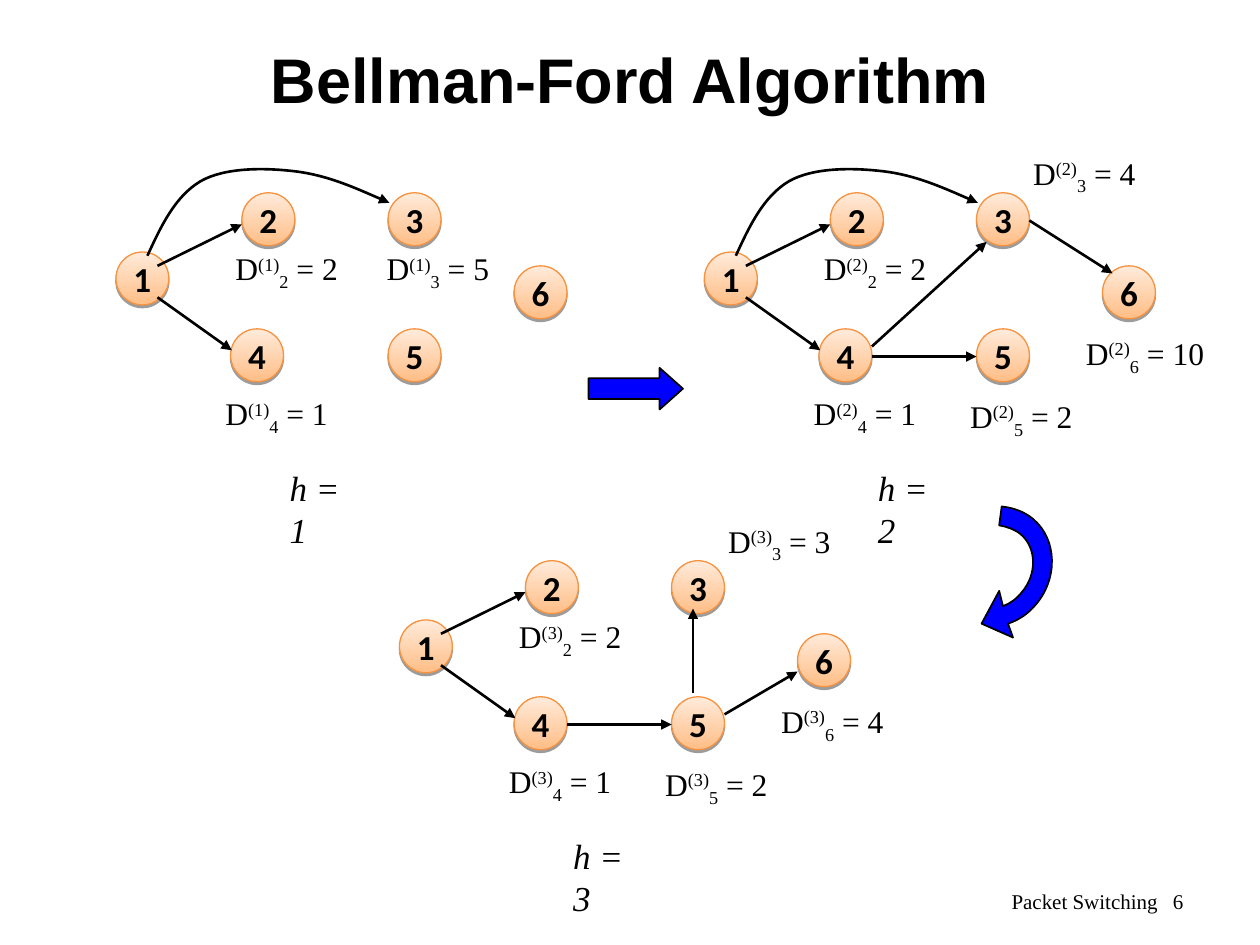
"""Builds a slide showing three steps of the Bellman-Ford algorithm."""
import pptx
import pptx.dml.color
import pptx.enum.dml
import pptx.enum.shapes
import pptx.enum.text
import pptx.oxml
import pptx.oxml.ns
import pptx.util

Inches, Pt = pptx.util.Inches, pptx.util.Pt
qn = pptx.oxml.ns.qn
SHAPE = pptx.enum.shapes.MSO_SHAPE
ALIGN = pptx.enum.text.PP_ALIGN
ANCHOR = pptx.enum.text.MSO_ANCHOR

COLORS = {"ink": "000000", "arrow": "0000FF", "node_line": "F69240",
          "node_low": "FFBE86", "node_high": "FFEBDB"}
SERIF = "Times New Roman"
TITLE = "Bellman-Ford Algorithm"
FOOTER = "Packet Switching\t6"
NODE_SIZE = 0.42

NODES = {1: (0.92, 2), 2: (1.92, 1.53), 3: (3.08, 1.53),
         4: (1.83, 2.61), 5: (3.08, 2.61), 6: (4.08, 2.11)}
EDGES = {"1-2": (1.25, 2.11, 1.92, 1.78), "1-4": (1.25, 2.36, 1.84, 2.78),
         "4-3": (2.25, 2.75, 3.16, 1.92), "4-5": (2.25, 2.83, 3.08, 2.83),
         "3-6": (3.5, 1.75, 4.16, 2.17), "5-3": (3.25, 2.58, 3.25, 1.91),
         "5-6": (3.5, 2.75, 4.08, 2.41)}
DETOUR = [("M", (1.17, 2.03)),
          ("C", (1.28, 1.79), (1.39, 1.56), (1.59, 1.44)),
          ("C", (1.78, 1.33), (2.09, 1.33), (2.34, 1.36)),
          ("C", (2.59, 1.39), (2.84, 1.5), (3.09, 1.61))]
LABELS = {2: (1.77, 1.93), 3: (3.43, 1.17), 4: (1.69, 3.08),
          5: (2.93, 3.1), 6: (3.85, 2.6)}
LOW_LABEL_3 = (2.97, 1.93)
STEP_AT = (2.2, 3.65)

STEPS = [
    {"origin": (0, 0), "detour": True, "edges": ["1-2", "1-4"],
     "distances": {2: 2, 3: 5, 4: 1}},
    {"origin": (4.67, 0), "detour": True,
     "edges": ["1-2", "1-4", "4-3", "4-5", "3-6"],
     "distances": {2: 2, 3: 4, 4: 1, 6: 10, 5: 2}},
    {"origin": (2.25, 2.92), "detour": False,
     "edges": ["1-2", "1-4", "5-3", "4-5", "5-6"],
     "distances": {2: 2, 3: 3, 4: 1, 6: 4, 5: 2}},
]
TURN = [("M", (7.96, 4.81)),
        ("C", (8.02, 4.79), (8.07, 4.75), (8.11, 4.7)),
        ("C", (8.23, 4.56), (8.23, 4.35), (8.1, 4.24)),
        ("C", (8.05, 4.2), (7.99, 4.18), (7.93, 4.17)),
        ("L", (7.95, 4.02)),
        ("C", (8.04, 4.03), (8.13, 4.06), (8.2, 4.12)),
        ("C", (8.39, 4.28), (8.4, 4.59), (8.22, 4.8)),
        ("C", (8.16, 4.87), (8.09, 4.92), (8, 4.95)),
        ("L", (8.04, 5.06)), ("L", (7.79, 4.95)), ("L", (7.93, 4.69))]


def rgb(name):
    return pptx.dml.color.RGBColor.from_string(COLORS[name])


def set_line(shape, color, width):
    shape.line.color.rgb = rgb(color)
    shape.line.width = Pt(width)


def add_run(paragraph, text, size, font, bold=False, italic=False, baseline=0):
    run = paragraph.add_run()
    run.text = text
    run.font.size, run.font.name = Pt(size), font
    run.font.bold, run.font.italic = bold, italic
    run.font.color.rgb = rgb("ink")
    if baseline:
        run.font._element.set("baseline", str(baseline * 1000))


def add_text(slide, box, runs, wrap=False, anchor=ANCHOR.TOP, align=ALIGN.LEFT):
    frame = slide.shapes.add_textbox(*map(Inches, box)).text_frame
    frame.word_wrap, frame.vertical_anchor = wrap, anchor
    if not wrap:
        frame.auto_size = pptx.enum.text.MSO_AUTO_SIZE.SHAPE_TO_FIT_TEXT
    paragraph = frame.paragraphs[0]
    paragraph.alignment = align
    for run in runs:
        add_run(paragraph, **run)
    return paragraph


def add_arrowhead(shape):
    pptx.oxml.ns  
    tail = shape.line._get_or_add_ln().makeelement(qn("a:tailEnd"), {"type": "triangle"})
    shape.line._get_or_add_ln().append(tail)


def add_node(slide, number, left, top):
    node = slide.shapes.add_shape(
        SHAPE.OVAL, *map(Inches, (left, top, NODE_SIZE, NODE_SIZE)))
    node.fill.gradient()
    node.fill.gradient_angle = 90
    for stop, color in zip(node.fill.gradient_stops, ("node_low", "node_high")):
        stop.color.rgb = rgb(color)
    set_line(node, "node_line", 0.75)
    node.shadow.inherit = False
    node._element.spPr.find(qn("a:effectLst")).append(pptx.oxml.parse_xml(
        f'<a:outerShdw {pptx.oxml.ns.nsdecls("a")} dist="{Pt(1.6)}" dir="5400000" '
        'rotWithShape="0"><a:srgbClr val="000000"><a:alpha val="38000"/>'
        '</a:srgbClr></a:outerShdw>'))
    node.text_frame.word_wrap = False
    node.text_frame.vertical_anchor = ANCHOR.MIDDLE
    paragraph = node.text_frame.paragraphs[0]
    paragraph.alignment = ALIGN.CENTER
    add_run(paragraph, str(number), 20, "Calibri", bold=True)


def add_edge(slide, start_x, start_y, end_x, end_y):
    edge = slide.shapes.add_connector(
        pptx.enum.shapes.MSO_CONNECTOR.STRAIGHT,
        *map(Inches, (start_x, start_y, end_x, end_y)))
    set_line(edge, "ink", 1.5)
    add_arrowhead(edge)
    edge._element.spPr.append(edge._element.makeelement(qn("a:effectLst"), {}))


def add_curve(slide, commands, dx=0, dy=0, closed=False):
    points = [(Inches(x + dx), Inches(y + dy))
              for command in commands for x, y in command[1:]]
    builder = slide.shapes.build_freeform(*points[0])
    builder.add_line_segments(points[1:], close=closed)
    curve = builder.convert_to_shape()
    segments = iter(list(curve._element.iter(qn("a:lnTo"))))
    for kind, *ends in commands[1:]:
        parts = [next(segments) for _ in ends]
        if kind == "C":
            bezier = parts[0].makeelement(qn("a:cubicBezTo"), {})
            parts[0].addprevious(bezier)
            for part in parts:
                bezier.append(part[0])
                part.getparent().remove(part)
    curve.shadow.inherit = False
    return curve


def fill_arrow(arrow):
    arrow.fill.solid()
    arrow.fill.fore_color.rgb = rgb("arrow")
    arrow.shadow.inherit = False
    set_line(arrow, "ink", 1)


def add_step(slide, h, step):
    dx, dy = step["origin"]
    for number, (x, y) in NODES.items():
        add_node(slide, number, x + dx, y + dy)
    for name in step["edges"]:
        x1, y1, x2, y2 = EDGES[name]
        add_edge(slide, x1 + dx, y1 + dy, x2 + dx, y2 + dy)
    if step["detour"]:
        detour = add_curve(slide, DETOUR, dx, dy)
        detour.fill.background()
        set_line(detour, "ink", 1.5)
        add_arrowhead(detour)
    for number, distance in step["distances"].items():
        x, y = LOW_LABEL_3 if (h, number) == (1, 3) else LABELS[number]
        parts = [("D", 0), (f"({h})", 30), (str(number), -25), (f" = {distance}", 0)]
        add_text(slide, (x + dx, y + dy, 0.88 + 0.13 * len(str(distance)), 0.44),
                 [dict(text=text, size=18, font=SERIF, baseline=baseline)
                  for text, baseline in parts])
    add_text(slide, (STEP_AT[0] + dx, STEP_AT[1] + dy, 0.8, 0.44),
             [dict(text=f"h = {h}", size=20, font=SERIF, italic=True)])


def main():
    deck = pptx.Presentation()
    deck.slide_width, deck.slide_height = Inches(10), Inches(7.5)
    slide = deck.slides.add_slide(deck.slide_layouts[6])
    add_text(slide, (0.75, 0, 8.5, 1.25),
             [dict(text=TITLE, size=36, font="Arial", bold=True)],
             wrap=True, anchor=ANCHOR.MIDDLE, align=ALIGN.CENTER)
    footer = add_text(slide, (7.93, 6.95, 1.57, 0.4), [], wrap=True, anchor=ANCHOR.MIDDLE)
    footer._p.get_or_add_pPr().append(pptx.oxml.parse_xml(
        f'<a:tabLst {pptx.oxml.ns.nsdecls("a")}>'
        f'<a:tab pos="{Inches(1.28)}" algn="l"/></a:tabLst>'))
    add_run(footer, FOOTER, 12, SERIF)
    for h, step in enumerate(STEPS, 1):
        add_step(slide, h, step)
    onward = slide.shapes.add_shape(
        SHAPE.RIGHT_ARROW, *map(Inches, (4.67, 2.92, 0.75, 0.33)))
    onward.adjustments[0], onward.adjustments[1] = 0.5, 0.56
    fill_arrow(onward)
    fill_arrow(add_curve(slide, TURN, closed=True))
    deck.save("out.pptx")


if __name__ == "__main__":
    main()
